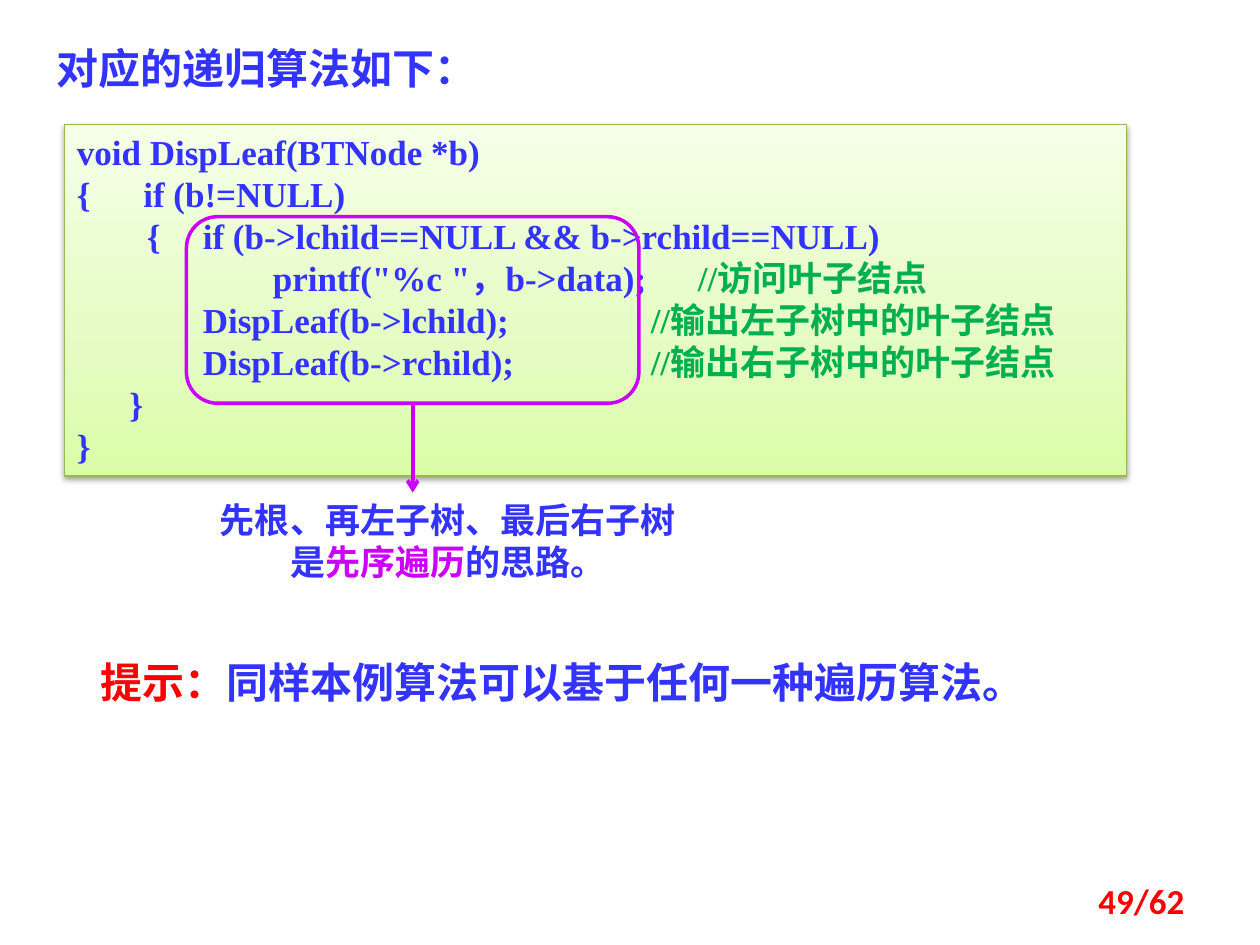
from copy import deepcopy
from dataclasses import dataclass
from typing import Optional

from lxml.etree import SubElement
from pptx import Presentation
from pptx.dml.color import RGBColor
from pptx.enum.shapes import MSO_CONNECTOR as Connector, MSO_SHAPE as Preset
from pptx.enum.text import MSO_ANCHOR as Anchor, PP_ALIGN as Align
from pptx.oxml.ns import qn
from pptx.util import Cm, Pt

BLUE = RGBColor(0x33, 0x33, 0xFF)
GREEN = RGBColor(0x00, 0xB0, 0x50)
PURPLE = RGBColor(0xCC, 0x00, 0xFF)
RED = RGBColor(0xFF, 0x00, 0x00)
BORDER = RGBColor(0x98, 0xB9, 0x55)
GRADIENT = [
    (0, RGBColor(0xDA, 0xFD, 0xA7)),
    (0.35, RGBColor(0xE4, 0xFC, 0xC2)),
    (1, RGBColor(0xF5, 0xFF, 0xE7)),
]
SERIF, SANS, CJK = "Times New Roman", "Calibri", "Noto Sans CJK SC"


@dataclass
class Span:
    text: str
    color: RGBColor = BLUE
    font: Optional[str] = None


@dataclass
class Line:
    spans: list[Span]
    tabs: tuple[float, ...] = ()  # tab stops in cm


@dataclass
class Style:
    size: int = 20
    font: str = SERIF
    align: Align = Align.LEFT
    spacing: Optional[float] = None


@dataclass
class TextBlock:
    box: tuple[float, float, float, float]  # left, top, width, height in cm
    lines: list[Line]
    style: Style
    anchor: Anchor = Anchor.TOP


# Tab stops of the code, in cm
IF_STOP, BODY_STOP, PRINT_STOP = 1.34, 2.54, 3.95
PRINT_NOTE_STOP, CALL_NOTE_STOP = 12.52, 11.57

CODE = [
    Line([Span("void DispLeaf(BTNode *b)")]),
    Line([Span("{\tif (b!=NULL)")], (IF_STOP,)),
    Line([Span("        {\tif (b->lchild==NULL && b->rchild==NULL)")], (BODY_STOP,)),
    Line([Span('\tprintf("%c "，b->data);\t'), Span("//访问叶子结点", GREEN)],
         (PRINT_STOP, PRINT_NOTE_STOP)),
    *(Line([Span(f"\tDispLeaf(b->{child});\t"),
            Span(f"//输出{side}子树中的叶子结点", GREEN)],
           (BODY_STOP, CALL_NOTE_STOP))
      for child, side in (("lchild", "左"), ("rchild", "右"))),
    Line([Span("      }")]),
    Line([Span("}")]),
]
CODE_BOX = (1.3, 2.51, 21.41, 7.09)
FRAME_BOX = (3.76, 4.37, 9.12, 3.76)
CODE_STYLE = Style(spacing=Pt(24))

TITLE = TextBlock((0.89, 0.53, 11.4, 1.37),
                  [Line([Span("对应的递归算法如下：")])], Style(24, spacing=1.2))
NOTE = TextBlock(
    (2.97, 9.93, 12.12, 1.96),
    [Line([Span("先根、再左子树、最后右子树")]),
     Line([Span("是"), Span("先序遍历", PURPLE), Span("的思路。")])],
    Style(align=Align.CENTER, spacing=Pt(24)))
HINT = TextBlock(
    (1.78, 13.11, 19.58, 1.27),
    [Line([Span("提示：", RED, CJK), Span("同样", BLUE, CJK),
           Span("本例算法可以基于任何一种遍历算法。")])],
    Style(24))
PAGE_NUMBER = TextBlock((18.21, 17.65, 5.92, 1.02), [Line([Span("49/62", RED)])],
                        Style(font=SANS, align=Align.RIGHT), Anchor.MIDDLE)


def write_lines(frame, lines: list[Line], style: Style) -> None:
    frame.word_wrap = True
    for index, line in enumerate(lines):
        paragraph = frame.add_paragraph() if index else frame.paragraphs[0]
        if line.tabs:
            tab_list = SubElement(paragraph._p.get_or_add_pPr(), qn("a:tabLst"))
            for stop in line.tabs:
                SubElement(tab_list, qn("a:tab"), pos=str(int(Cm(stop))), algn="l")
        paragraph.alignment = style.align
        if style.spacing is not None:
            paragraph.line_spacing = style.spacing
        paragraph.font.name = style.font
        paragraph.font.size = Pt(style.size)
        paragraph.font.bold = True
        for span in line.spans:
            run = paragraph.add_run()
            run.text = span.text
            run.font.color.rgb = span.color
            if span.font:
                run.font.name = span.font


def add_text(shapes, block: TextBlock) -> None:
    frame = shapes.add_textbox(*map(Cm, block.box)).text_frame
    frame.vertical_anchor = block.anchor
    write_lines(frame, block.lines, block.style)


def add_code_panel(shapes) -> None:
    panel = shapes.add_shape(Preset.RECTANGLE, *map(Cm, CODE_BOX))
    panel.line.color.rgb = BORDER
    panel.line.width = Pt(0.75)

    # Three-stop gradient, darkest at the bottom
    panel.fill.gradient()
    panel.fill.gradient_angle = 90
    first = panel._element.spPr.find(".//" + qn("a:gs"))
    first.addnext(deepcopy(first))
    for stop, (position, color) in zip(panel.fill.gradient_stops, GRADIENT):
        stop.position = position
        stop.color.rgb = color

    # Soft shadow below
    panel.shadow.inherit = False
    effects = panel._element.spPr.find(qn("a:effectLst"))
    shadow = SubElement(effects, qn("a:outerShdw"), blurRad=str(int(Pt(3.1))),
                        dist=str(int(Pt(1.6))), dir="5400000", rotWithShape="0")
    black = SubElement(shadow, qn("a:srgbClr"), val="000000")
    SubElement(black, qn("a:alpha"), val="38000")

    panel.text_frame.vertical_anchor = Anchor.TOP
    write_lines(panel.text_frame, CODE, CODE_STYLE)


def add_callout(shapes) -> None:
    group = shapes.add_group_shape().shapes
    left, top, width, height = FRAME_BOX
    frame = group.add_shape(Preset.ROUNDED_RECTANGLE, *map(Cm, FRAME_BOX))
    frame.shadow.inherit = False
    frame.fill.background()
    frame.line.color.rgb = PURPLE
    frame.line.width = Pt(2)

    # Arrow from the frame down to the note
    center = Cm(left + width / 2)
    arrow = group.add_connector(Connector.STRAIGHT, center, Cm(top + height),
                                center, Cm(NOTE.box[1]))
    arrow.line.color.rgb = PURPLE
    arrow.line.width = Pt(2.25)
    SubElement(arrow.line._get_or_add_ln(), qn("a:tailEnd"), type="arrow")
    SubElement(arrow._element.spPr, qn("a:effectLst"))

    add_text(group, NOTE)


def main() -> None:
    presentation = Presentation()
    presentation.slide_width, presentation.slide_height = Cm(25.4), Cm(19.05)
    slide = presentation.slides.add_slide(presentation.slide_layouts[6])
    add_code_panel(slide.shapes)
    add_text(slide.shapes, TITLE)
    add_callout(slide.shapes)
    add_text(slide.shapes, HINT)
    add_text(slide.shapes, PAGE_NUMBER)
    presentation.save("out.pptx")


if __name__ == "__main__":
    main()
